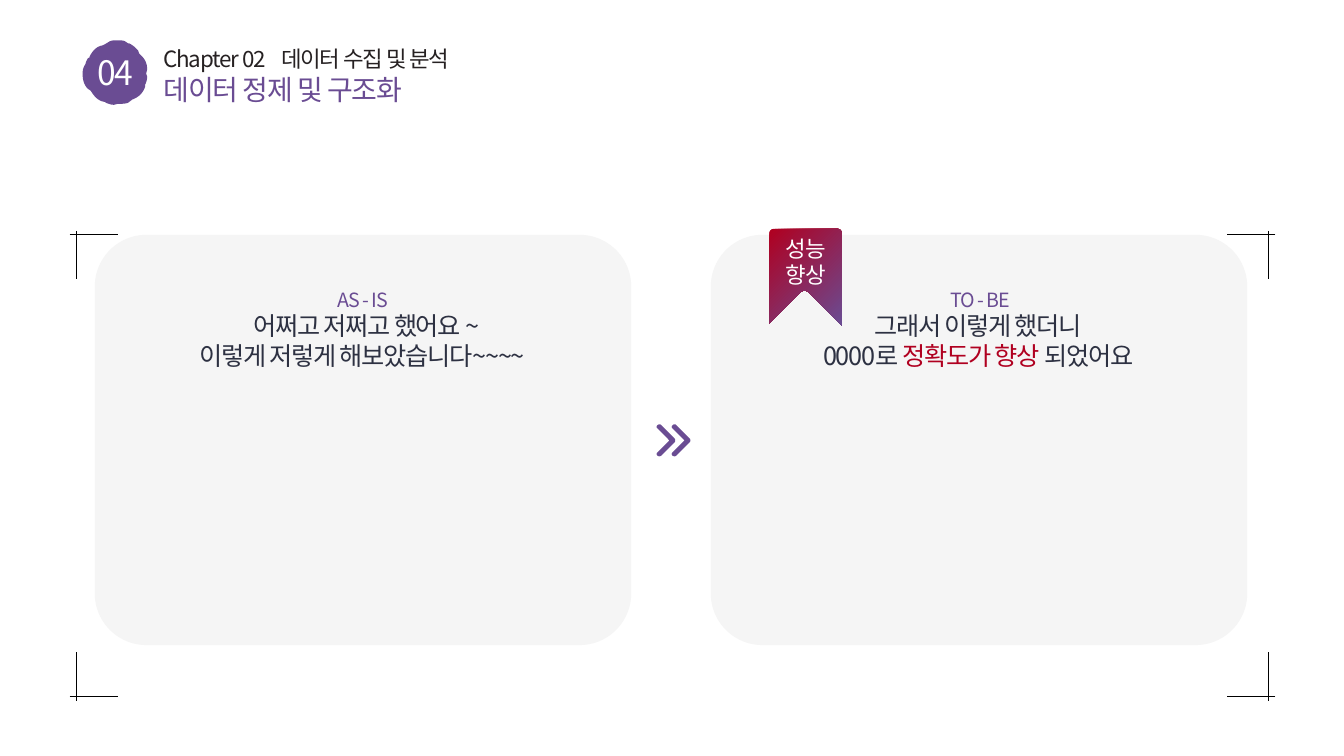
import pptx
import pptx.util
import pptx.dml.color
import pptx.enum.shapes
import pptx.enum.text
import pptx.oxml.ns
from lxml import etree

PX = 9144  # EMU in one px, 100 px to the inch
FONT = "Noto Sans CJK KR"
COLORS = {"purple": "6A4C93", "red": "B00020", "ink": "2D3142", "dark": "262122",
          "white": "FFFFFF", "card": "F2F2F2", "black": "000000"}

TITLE = "데이터 정제 및 구조화"
CHAPTER = "Chapter 02\t데이터 수집 및 분석"
NUMBER = "04"
RIBBON_TEXT = [["성능"], ["향상"]]
CARDS = [
    {"x": 94, "label": "AS - IS ",
     "body": [[" 어쩌고 저쩌고 했어요 ~"], ["이렇게 저렇게 해보았습니다~~~~ "]]},
    {"x": 705, "label": "TO - BE",
     "body": [["그래서 이렇게 했더니 "],
              ["0000로 ", ("정확도가 향상 ", "red"), "되었어요 "]]},
]

# Outlines in px: a pair is a corner, six numbers are a Bezier curve.
BADGE = [(116, 40), (119, 40, 122, 40, 124, 41), (127, 43), (128, 43),
         (132, 45, 134, 47, 137, 50), (138, 53), (140, 55), (144, 59, 146, 63, 146, 69),
         (145, 73), (146, 76), (146, 79, 145, 82, 144, 84), (144, 86),
         (142, 92, 138, 96, 133, 98), (131, 99), (127, 102), (124, 103, 122, 103, 119, 103),
         (117, 103), (113, 104), (110, 104, 108, 103, 105, 102), (104, 101), (103, 101),
         (97, 100, 93, 95, 90, 90), (87, 88), (84, 85, 82, 80, 82, 74),
         (82, 72, 82, 69, 83, 67), (84, 65), (85, 63), (85, 62, 86, 60, 87, 58), (89, 57),
         (89, 56), (92, 50, 96, 46, 102, 45), (104, 44), (109, 41),
         (111, 40, 114, 40, 116, 40)]
CHEVRON = [(654, 421), (655, 421, 655, 421, 656, 422), (669, 435),
           (670, 436, 670, 438, 669, 439), (656, 452), (655, 453, 653, 453, 652, 452),
           (651, 451, 651, 450, 652, 449), (664, 437), (652, 425),
           (651, 424, 651, 423, 652, 422), (653, 421, 654, 421, 654, 421)]
CHEVRON_STEP = 15
RIBBON = [(768, 227), (830, 227), (833, 227, 835, 229, 835, 232), (835, 323), (802, 290),
          (800, 288, 796, 288, 794, 290), (763, 321), (763, 232),
          (763, 229, 765, 227, 768, 227)]

ALIGN = pptx.enum.text.PP_ALIGN
qn = pptx.oxml.ns.qn


def rgb(name):
    return pptx.dml.color.RGBColor.from_string(COLORS[name])


def box(x, y, w, h):
    return [v * PX for v in (x, y, w, h)]


def write(sp, paragraphs, size, color, align=ALIGN.CENTER, spacing=0, wrap=True, tab=None):
    """Fill a shape with paragraphs, each a list of strings or (string, colour) runs."""
    tf = sp.text_frame
    tf.word_wrap = wrap
    tf.auto_size = pptx.enum.text.MSO_AUTO_SIZE.NONE
    tf.vertical_anchor = pptx.enum.text.MSO_ANCHOR.MIDDLE
    for i, runs in enumerate(paragraphs):
        p = tf.add_paragraph() if i else tf.paragraphs[0]
        p.alignment = align
        if tab:
            tabs = etree.SubElement(p._p.get_or_add_pPr(), qn("a:tabLst"))
            etree.SubElement(tabs, qn("a:tab"), pos=str(tab * PX), algn="l")
        for run in runs:
            text, run_color = (run, color) if isinstance(run, str) else run
            r = p.add_run()
            r.text = text
            r.font.size = pptx.util.Pt(size)
            r.font.name = FONT
            r.font.color.rgb = rgb(run_color)
            rPr = r._r.get_or_add_rPr()
            rPr.set("spc", str(round(spacing * 100)))
            etree.SubElement(rPr, qn("a:ea"), typeface=FONT)


def add_text(slide, area, paragraphs, size, color, **fmt):
    write(slide.shapes.add_textbox(*box(*area)), paragraphs, size, color, **fmt)


def flatten(outline, steps=8):
    """Turn corners and curves into a plain list of points."""
    points = [outline[0]]
    for part in outline[1:]:
        if len(part) == 2:
            points.append(part)
            continue
        nodes = [points[-1], part[:2], part[2:4], part[4:]]
        for i in range(1, steps + 1):
            t = i / steps
            weights = ((1 - t) ** 3, 3 * t * (1 - t) ** 2, 3 * t * t * (1 - t), t ** 3)
            points.append(tuple(sum(k * n[axis] for k, n in zip(weights, nodes))
                                for axis in (0, 1)))
    return points


def add_outline(slide, outline, dx=0):
    points = [((x + dx) * PX, y * PX) for x, y in flatten(outline)]
    builder = slide.shapes.build_freeform(*points[0])
    builder.add_line_segments(points[1:], close=True)
    sp = builder.convert_to_shape()
    sp.shadow.inherit = False
    sp.line.fill.background()
    sp.fill.solid()
    sp.fill.fore_color.rgb = rgb("purple")
    return sp


def add_line(slide, *ends):
    line = slide.shapes.add_connector(pptx.enum.shapes.MSO_CONNECTOR.STRAIGHT,
                                      *[v * PX for v in ends])
    line.line.color.rgb = rgb("black")
    line.line.width = pptx.util.Pt(0.5)
    etree.SubElement(line._element.spPr, qn("a:effectLst"))


def add_crop_marks(slide):
    for mirror_x in (False, True):
        for mirror_y in (False, True):
            tip, corner_x, inner = [1334 - x if mirror_x else x for x in (69, 76, 117)]
            end, corner_y, near = [924 - y if mirror_y else y for y in (229, 233, 277)]
            add_line(slide, tip, corner_y, inner, corner_y)
            add_line(slide, corner_x, end, corner_x, near)


def add_card(slide, card):
    x = card["x"]
    sp = slide.shapes.add_shape(pptx.enum.shapes.MSO_SHAPE.ROUNDED_RECTANGLE,
                                *box(x, 233, 532, 407))
    sp.adjustments[0] = 0.126
    sp.shadow.inherit = False
    sp.line.fill.background()
    sp.fill.solid()
    sp.fill.fore_color.rgb = rgb("card")
    color = sp._element.spPr.find(".//" + qn("a:srgbClr"))
    etree.SubElement(color, qn("a:alpha"), val="77000")
    add_text(slide, (x + 77, 321, 381, 33), card["body"], 18, "ink", spacing=-0.9)
    add_text(slide, (x + 201, 286, 133, 23), [[card["label"]]], 14, "purple", spacing=-0.8)


def add_ribbon(slide):
    sp = add_outline(slide, RIBBON)
    sp.fill.gradient()
    for stop, name in zip(sp.fill.gradient_stops, ("purple", "red")):
        stop.color.rgb = rgb(name)
    linear = sp._element.spPr.find(".//" + qn("a:lin"))
    radial = etree.Element(qn("a:path"), path="circle")
    etree.SubElement(radial, qn("a:fillToRect"), l="100000", t="100000")
    linear.getparent().replace(linear, radial)
    add_text(slide, (772, 242, 54, 35), RIBBON_TEXT, 16, "white", wrap=False)


def main():
    prs = pptx.Presentation()
    prs.slide_width = pptx.util.Inches(13.33)
    prs.slide_height = pptx.util.Inches(7.5)
    slide = prs.slides.add_slide(prs.slide_layouts[5])

    add_outline(slide, BADGE)
    add_crop_marks(slide)
    add_text(slide, (82, 45, 65, 53), [[NUMBER]], 24, "white", spacing=-0.9)
    title = slide.shapes.title
    title.left, title.top, title.width, title.height = box(152, 68, 355, 41)
    write(title, [[TITLE]], 20, "purple", align=ALIGN.LEFT, spacing=-0.8)
    add_text(slide, (152, 45, 355, 27), [[CHAPTER]], 16, "dark",
             align=ALIGN.LEFT, spacing=-0.8, tab=117)
    for card in CARDS:
        add_card(slide, card)
    for i in range(2):
        add_outline(slide, CHEVRON, dx=i * CHEVRON_STEP)
    add_ribbon(slide)
    prs.save("out.pptx")


if __name__ == "__main__":
    main()
